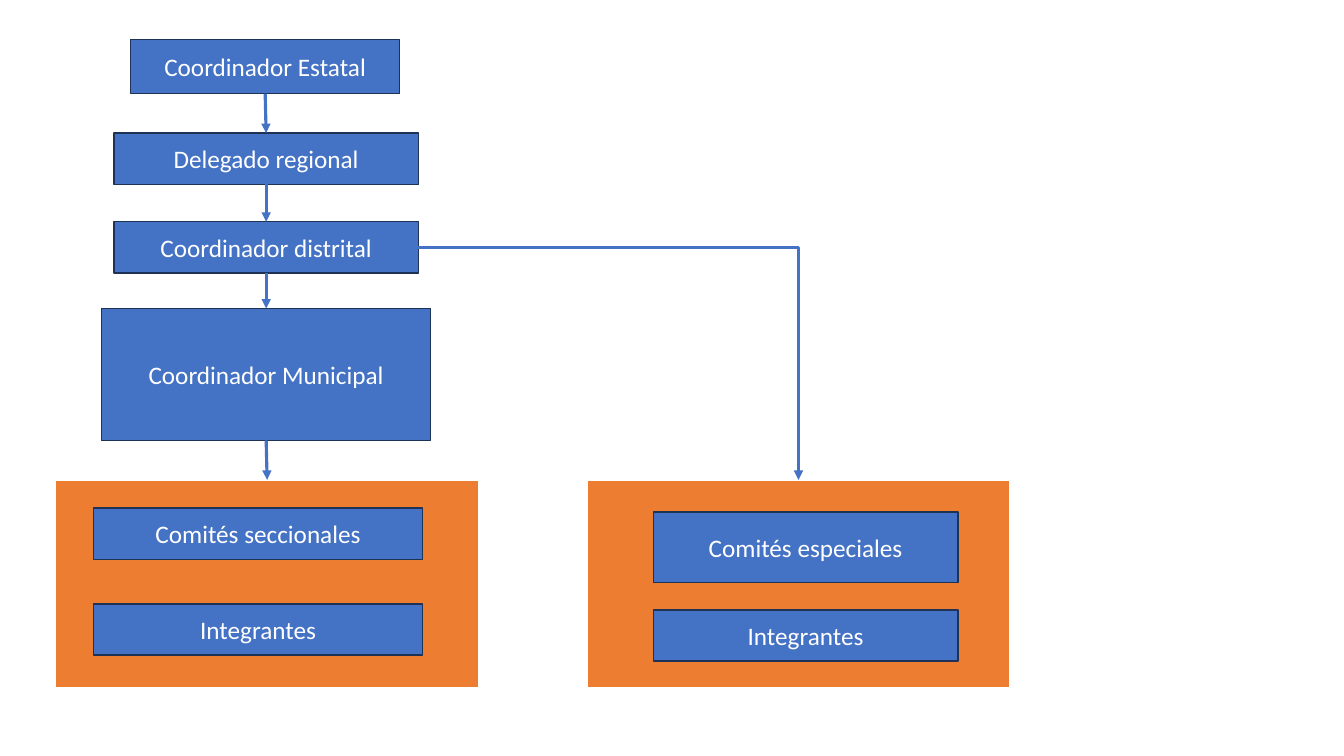
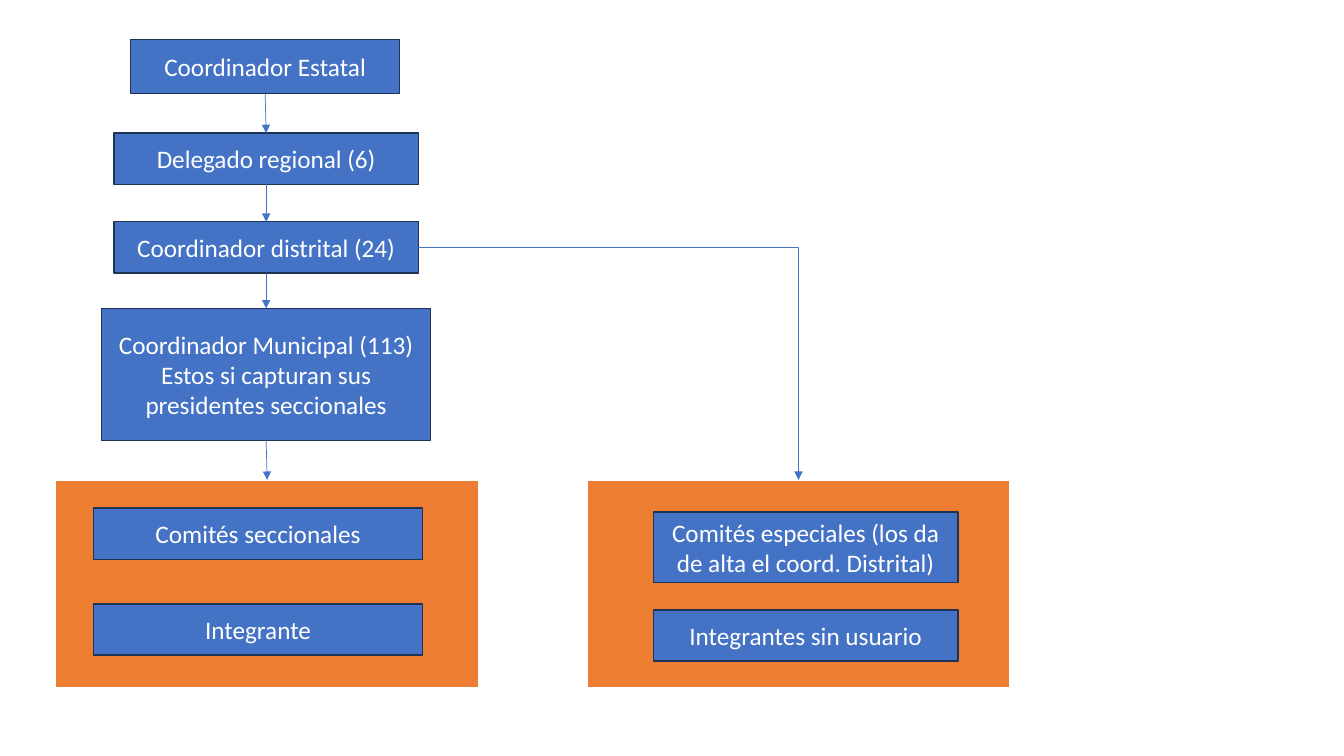
from dataclasses import dataclass

from lxml.etree import SubElement
from pptx import Presentation
from pptx.dml.color import RGBColor as RGB
from pptx.enum.shapes import MSO_CONNECTOR as CONN, MSO_SHAPE as SHAPE
from pptx.enum.text import MSO_ANCHOR as ANCHOR, PP_ALIGN as ALIGN
from pptx.oxml.ns import qn
from pptx.util import Inches, Pt


@dataclass(frozen=True)
class Theme:
    blue: RGB = RGB(0x44, 0x72, 0xC4)
    navy: RGB = RGB(0x1E, 0x32, 0x56)
    orange: RGB = RGB(0xED, 0x7D, 0x31)
    white: RGB = RGB(0xFF, 0xFF, 0xFF)
    font: str = "Calibri"
    size: float = 18
    box_line: float = 1
    panel_line: float = 1.5


T = Theme()

# Arrow width in points, then the lines of text in each box
SLIDES = [
    (2.25, {
        "estatal": ["Coordinador Estatal"],
        "regional": ["Delegado regional"],
        "distrital": ["Coordinador distrital"],
        "municipal": ["Coordinador Municipal"],
        "seccionales": ["Comités seccionales"],
        "integrantes_sec": ["Integrantes"],
        "especiales": ["Comités especiales"],
        "integrantes_esp": ["Integrantes"],
    }),
    (0.5, {
        "estatal": ["Coordinador Estatal"],
        "regional": ["Delegado regional (6)"],
        "distrital": ["Coordinador distrital (24)"],
        "municipal": ["Coordinador Municipal (113)",
                      "Estos si capturan sus presidentes seccionales"],
        "seccionales": ["Comités seccionales"],
        "integrantes_sec": ["Integrante"],
        "especiales": ["Comités especiales (los da de alta el coord. Distrital)"],
        "integrantes_esp": ["Integrantes sin usuario"],
    }),
]

# Inches: centre x, top, width, height
ROW_H, MID_W, WIDE_W = 0.51, 3.02, 3.26
CHAIN_X, SEC_X, ESP_X = 2.64, 2.56, 7.99
PANELS = {
    "panel_esp": (7.92, 4.76, 4.2, 2.07),
    "panel_sec": (2.65, 4.76, 4.2, 2.07),
}
BOXES = {
    "estatal": (2.63, 0.39, 2.67, 0.54),
    "regional": (CHAIN_X, 1.32, MID_W, ROW_H),
    "distrital": (CHAIN_X, 2.2, MID_W, ROW_H),
    "municipal": (CHAIN_X, 3.06, WIDE_W, 1.31),
    "seccionales": (SEC_X, 5.04, WIDE_W, ROW_H),
    "integrantes_sec": (SEC_X, 5.99, WIDE_W, ROW_H),
    "especiales": (ESP_X, 5.08, MID_W, 0.7),
    "integrantes_esp": (ESP_X, 6.05, MID_W, ROW_H),
}
CHAIN = ["estatal", "regional", "distrital", "municipal", "panel_sec"]
TOP, BOTTOM, RIGHT = 0, 2, 3  # connection sites of a rectangle


def add_rect(slide, place, fill, line, width):
    cx, top, w, h = place
    sp = slide.shapes.add_shape(
        SHAPE.RECTANGLE, *map(Inches, (cx - w / 2, top, w, h)))
    sp.shadow.inherit = False
    sp.fill.solid()
    sp.fill.fore_color.rgb = fill
    sp.line.color.rgb = line
    sp.line.width = Pt(width)
    return sp


def write(sp, lines):
    tf = sp.text_frame
    tf.word_wrap = True
    tf.vertical_anchor = ANCHOR.MIDDLE
    tf.text = "\n".join(lines)
    for p in tf.paragraphs:
        p.alignment = ALIGN.CENTER
        p.font.name = T.font
        p.font.size = Pt(T.size)
        p.font.color.rgb = T.white


def add_arrow(slide, start, start_site, end, width, kind=CONN.STRAIGHT):
    """Join a site of one shape to the top of another; an elbow turns once."""
    c = slide.shapes.add_connector(kind, 0, 0, 0, 0)
    c.begin_connect(start, start_site)
    c.end_connect(end, TOP)
    c.line.color.rgb = T.blue
    c.line.width = Pt(width)
    pr = c.element.spPr
    SubElement(pr.find(qn("a:ln")), qn("a:tailEnd"), type="triangle")
    SubElement(pr, qn("a:effectLst"))
    if kind == CONN.ELBOW:
        pr.find(qn("a:prstGeom")).set("prst", "bentConnector2")


def build_chart(slide, arrow_width, texts):
    nodes = {name: add_rect(slide, place, T.orange, T.white, T.panel_line)
             for name, place in PANELS.items()}
    for name, place in BOXES.items():
        nodes[name] = add_rect(slide, place, T.blue, T.navy, T.box_line)
        write(nodes[name], texts[name])
    for upper, lower in zip(CHAIN, CHAIN[1:]):
        add_arrow(slide, nodes[upper], BOTTOM, nodes[lower], arrow_width)
    add_arrow(slide, nodes["distrital"], RIGHT, nodes["panel_esp"],
              arrow_width, CONN.ELBOW)


def main():
    prs = Presentation()
    prs.slide_width, prs.slide_height = Inches(13.33), Inches(7.5)
    for arrow_width, texts in SLIDES:
        build_chart(prs.slides.add_slide(prs.slide_layouts[6]), arrow_width, texts)
    prs.save("out.pptx")


if __name__ == "__main__":
    main()
